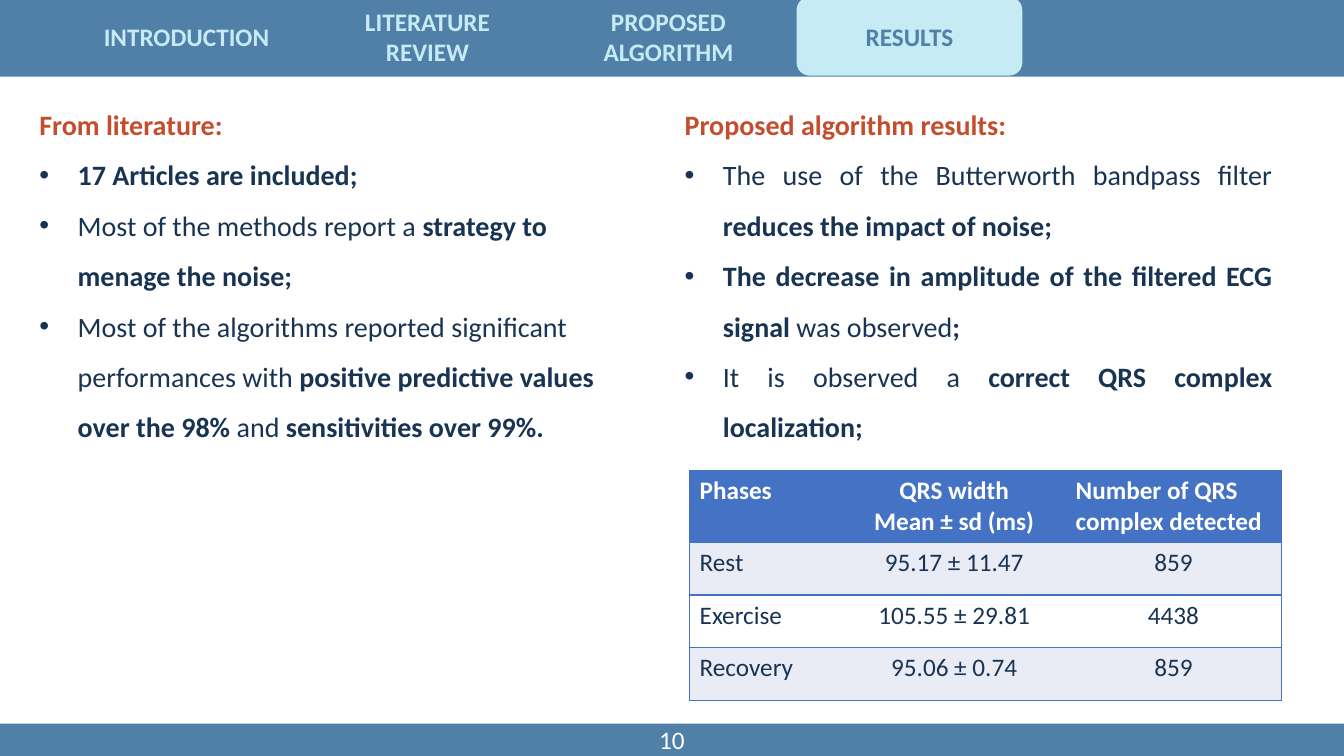
"""Builds the results slide of an ECG presentation."""
from lxml import etree
from pptx import Presentation
from pptx import util as u
from pptx.dml.color import RGBColor
from pptx.enum import shapes, text
from pptx.oxml.ns import qn

WIDTH, HEIGHT = u.Inches(13.33), u.Inches(7.5)
FONT = "Calibri"
BLUE, PALE, NAVY, RUST = "5080A7", "C6EBF5", "193452", "C44D2D"
HEADER, BAND, WHITE = "4472C4", "E9EBF5", "FFFFFF"
PLAIN_TABLE_STYLE = "{2D5ABB26-0587-4C30-8999-92F81FD0307C}"
LEFT, CENTER, JUSTIFY = text.PP_ALIGN.LEFT, text.PP_ALIGN.CENTER, text.PP_ALIGN.JUSTIFY

TABS = ["INTRODUCTION", "LITERATURE REVIEW", "PROPOSED ALGORITHM"]
LITERATURE = [
    "**17 Articles are included;**",
    "Most of the methods report a **strategy to menage the noise;**",
    "Most of the algorithms reported significant performances with "
    "**positive predictive values over the 98%** and **sensitivities over 99%.**",
]
ALGORITHM = [
    "The use of the Butterworth bandpass filter **reduces the impact of noise;**",
    "**The decrease in amplitude of the filtered ECG signal** was observed**;**",
    "It is observed a **correct QRS complex localization;**",
]
PHASES = [
    ["Phases", "QRS width\vMean ± sd (ms)", "Number of QRS complex detected"],
    ["Rest", "95.17 ± 11.47", "859"],
    ["Exercise", "105.55 ± 29.81", "4438"],
    ["Recovery", "95.06 ± 0.74", "859"],
]


def across(share):
    """Return a percentage of the slide width."""
    return int(WIDTH * share / 100)


def down(share):
    """Return a percentage of the slide height."""
    return int(HEIGHT * share / 100)


def area(left, top, width, height):
    """Return a rectangle given in percentages of the slide."""
    return across(left), down(top), across(width), down(height)


def move(box, left, top, width, height):
    """Place a shape on a rectangle given in percentages."""
    box.left, box.top, box.width, box.height = area(left, top, width, height)


def paint(fill, color):
    """Give a fill one solid colour."""
    fill.solid()
    fill.fore_color.rgb = RGBColor.from_string(color)


def style(span, size, color, bold=False):
    """Set the font of a run."""
    span.font.name, span.font.size, span.font.bold = FONT, u.Pt(size), bold
    span.font.color.rgb = RGBColor.from_string(color)


def label(frame, words, color, bold=True, align=CENTER):
    """Write one 18 point paragraph into a text frame."""
    frame.text = words
    para = frame.paragraphs[0]
    para.alignment = align
    for span in para.runs:
        style(span, 18, color, bold)


def add_block(page, kind, place, color, words="", ink=WHITE, bold=True):
    """Add a flat filled shape with an optional centred label."""
    box = page.shapes.add_shape(kind, *area(*place))
    box.shadow.inherit = False
    paint(box.fill, color)
    box.line.fill.background()
    if words:
        frame = box.text_frame
        frame.margin_top = frame.margin_bottom = 0
        frame.vertical_anchor = text.MSO_ANCHOR.MIDDLE
        label(frame, words, ink, bold)


def set_bullet(para, bullet):
    """Give a paragraph a hanging bullet, or none."""
    props = para._p.get_or_add_pPr()
    indent = u.Inches(0.38) if bullet else 0
    props.set("marL", str(indent))
    props.set("indent", str(-indent))
    if bullet:
        etree.SubElement(props, qn("a:buFont"), typeface="Arial")
        etree.SubElement(props, qn("a:buChar"), char="•")
    else:
        etree.SubElement(props, qn("a:buNone"))


def fill_list(box, place, heading, items, align):
    """Write a coloured heading and bullets; ** switches bold."""
    move(box, *place)
    frame = box.text_frame
    frame.auto_size = text.MSO_AUTO_SIZE.NONE
    frame.vertical_anchor = text.MSO_ANCHOR.TOP
    for row, line in enumerate([f"**{heading}**", *items]):
        para = frame.paragraphs[0] if row == 0 else frame.add_paragraph()
        para.alignment = align if row else LEFT
        para.line_spacing = 1.5
        para.space_before = para.space_after = u.Pt(0)
        set_bullet(para, row > 0)
        for part, words in enumerate(line.split("**")):
            if words:
                span = para.add_run()
                span.text = words
                style(span, 20, NAVY if row else RUST, part % 2 == 1)


def set_borders(cell, sides):
    """Draw thin lines on the given sides of a cell and hide the others."""
    props = cell._tc.get_or_add_tcPr()
    for order, side in enumerate("LRTB"):
        line = etree.Element(qn(f"a:ln{side}"), w=str(u.Pt(1)))
        if side in sides:
            fill = etree.SubElement(line, qn("a:solidFill"))
            etree.SubElement(fill, qn("a:srgbClr"), val=HEADER)
        else:
            etree.SubElement(line, qn("a:noFill"))
        props.insert(order, line)


def add_phases(page, left, top, widths, heights):
    """Add the table of QRS measures for each phase."""
    place = area(left, top, sum(widths), sum(heights))
    holder = page.shapes.add_table(len(heights), len(widths), *place)
    next(holder.element.iter(qn("a:tableStyleId"))).text = PLAIN_TABLE_STYLE
    table = holder.table
    for column, width in zip(table.columns, widths):
        column.width = across(width)
    for row, height in enumerate(heights):
        table.rows[row].height = down(height)
        for col, words in enumerate(PHASES[row]):
            cell = table.cell(row, col)
            centred = col == 1 or (col == 2 and row > 0)
            label(cell.text_frame, words, NAVY if row else WHITE, row == 0,
                  CENTER if centred else LEFT)
            paint(cell.fill, HEADER if row == 0 else BAND if row % 2 else WHITE)
            set_borders(cell, "TB" + {0: "L", 2: "R"}.get(col, ""))


def add_navigation(page):
    """Add the top bar with its tabs; the title is the current tab."""
    add_block(page, shapes.MSO_SHAPE.RECTANGLE, (0, 0, 100, 10.13), BLUE)
    places = [(5.48 + 17.93 * i, -0.4, 16.8, 10.4) for i in range(len(TABS) + 1)]
    for place, words in zip(places, TABS):
        add_block(page, shapes.MSO_SHAPE.ROUNDED_RECTANGLE, place, BLUE, words, PALE)
    add_block(page, shapes.MSO_SHAPE.ROUNDED_RECTANGLE, places[-1], PALE)
    title = page.shapes.title
    move(title, *places[-1])
    title.text_frame.auto_size = text.MSO_AUTO_SIZE.NONE
    title.text_frame.vertical_anchor = text.MSO_ANCHOR.MIDDLE
    label(title.text_frame, "RESULTS", BLUE)
    title.element.getparent().append(title.element)


def main():
    """Build the slide and save it."""
    deck = Presentation()
    deck.slide_width, deck.slide_height = WIDTH, HEIGHT
    page = deck.slides.add_slide(deck.slide_layouts.get_by_name("Two Content"))
    fill_list(page.placeholders[1], (2.18, 11.33, 43.44, 47.73),
              "From literature:", LITERATURE, LEFT)
    fill_list(page.placeholders[2], (50.19, 11.33, 45.24, 47.73),
              "Proposed algorithm results:", ALGORITHM, JUSTIFY)
    add_phases(page, 51.31, 62.27, [11.4, 16.58, 16.05], [9.33] + [6.97] * 3)
    add_navigation(page)
    add_block(page, shapes.MSO_SHAPE.RECTANGLE, (0, 95.73, 100, 4.27), BLUE,
              "10", WHITE, False)
    deck.save("out.pptx")


if __name__ == "__main__":
    main()
